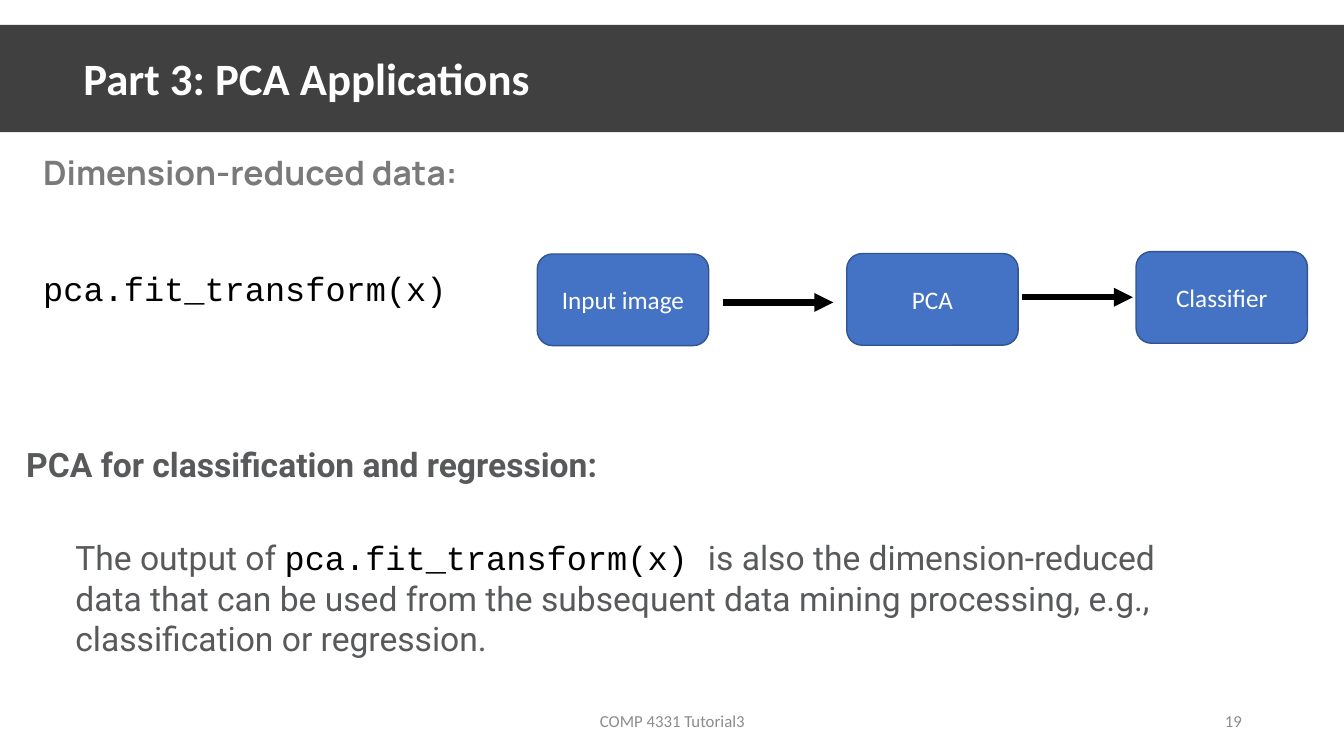
import pptx
import pptx.dml.color
import pptx.enum.shapes
import pptx.enum.text
import pptx.oxml
import pptx.oxml.ns
import pptx.util
from pptx.dml.color import RGBColor

Cm = pptx.util.Cm
Pt = pptx.util.Pt
ALIGN = pptx.enum.text.PP_ALIGN
ANCHOR = pptx.enum.text.MSO_ANCHOR
SHAPE = pptx.enum.shapes.MSO_SHAPE

BLACK = RGBColor(0x00, 0x00, 0x00)
WHITE = RGBColor(0xFF, 0xFF, 0xFF)
BANNER = RGBColor(0x40, 0x40, 0x40)
HEADING = RGBColor(0x7A, 0x7A, 0x7A)
BODY = RGBColor(0x58, 0x59, 0x5B)
FOOTER = RGBColor(0x8C, 0x8C, 0x8C)
BLUE = RGBColor(0x44, 0x72, 0xC4)
BLUE_EDGE = RGBColor(0x32, 0x54, 0x91)

CODE = "pca.fit_transform(x)"


class SlideBuilder:
    text_size = Pt(24)
    footer_size = Pt(12)
    step_size = Pt(18)
    step_width, step_height = 4.32, 2.31
    arrow_length = 2.79

    def __init__(self, slide):
        self.slide = slide

    @staticmethod
    def style(font, name, size, color, bold=False):
        font.name, font.size, font.bold = name, size, bold
        font.color.rgb = color

    def text(self, left, top, width, height, words, font, color, size=None,
             bold=False, wrap=True, align=ALIGN.LEFT, anchor=ANCHOR.TOP):
        """Add a one-paragraph text box and return its paragraph."""
        frame = self.slide.shapes.add_textbox(
            Cm(left), Cm(top), Cm(width), Cm(height)).text_frame
        frame.word_wrap = wrap
        frame.vertical_anchor = anchor
        paragraph = frame.paragraphs[0]
        paragraph.text = words
        paragraph.alignment = align
        self.style(paragraph.font, font, size or self.text_size, color, bold)
        return paragraph

    def footer(self, left, width, words, align):
        self.text(left, 17.65, width, 1.02, words, "Calibri", FOOTER,
                  self.footer_size, align=align, anchor=ANCHOR.MIDDLE)

    def block(self, kind, left, top, width, height, fill):
        block = self.slide.shapes.add_shape(
            kind, Cm(left), Cm(top), Cm(width), Cm(height))
        block.shadow.inherit = False
        block.fill.solid()
        block.fill.fore_color.rgb = fill
        block.line.fill.background()
        return block

    def step(self, left, top, label):
        step = self.block(SHAPE.ROUNDED_RECTANGLE, left, top,
                          self.step_width, self.step_height, BLUE)
        step.line.color.rgb = BLUE_EDGE
        step.line.width = Pt(1)
        step.text_frame.vertical_anchor = ANCHOR.MIDDLE
        paragraph = step.text_frame.paragraphs[0]
        paragraph.text = label
        paragraph.alignment = ALIGN.CENTER
        self.style(paragraph.font, "Calibri", self.step_size, WHITE)

    def arrow(self, left, y):
        arrow = self.slide.shapes.add_connector(
            pptx.enum.shapes.MSO_CONNECTOR.STRAIGHT,
            Cm(left), Cm(y), Cm(left + self.arrow_length), Cm(y))
        arrow.line.color.rgb = BLACK
        arrow.line.width = Pt(4.5)
        namespace = pptx.oxml.ns.nsdecls("a")
        arrow.line._get_or_add_ln().append(pptx.oxml.parse_xml(
            f'<a:tailEnd {namespace} type="triangle"/>'))
        arrow._element.spPr.append(pptx.oxml.parse_xml(
            f"<a:effectLst {namespace}/>"))


def main():
    deck = pptx.Presentation()
    deck.slide_width, deck.slide_height = Cm(33.87), Cm(19.05)
    builder = SlideBuilder(deck.slides.add_slide(deck.slide_layouts[6]))

    builder.block(SHAPE.RECTANGLE, -0.02, 0.63, 33.89, 2.7, BANNER)
    title = builder.text(1.85, 1.07, 30.15, 1.93, "Part 3: PCA Applications",
                         "Calibri", WHITE, Pt(32), bold=True,
                         anchor=ANCHOR.MIDDLE)
    title.line_spacing = 0.9

    builder.footer(23.93, 7.62, "19", ALIGN.RIGHT)
    builder.footer(11.23, 11.43, "COMP 4331 Tutorial3", ALIGN.CENTER)

    builder.text(0.84, 6.63, 10.74, 1.27, CODE, "Courier New", BLACK,
                 wrap=False)
    builder.text(0.84, 3.71, 10.95, 1.27, "Dimension-reduced data:",
                 "Manrope", HEADING, bold=True, wrap=False)
    builder.text(0.41, 11.07, 28.63, 2.31,
                 "PCA for classification and regression:",
                 "Roboto", BODY, bold=True)

    usage = builder.text(1.65, 13.41, 28.63, 4.37, "The output of ",
                         "Roboto", BODY)
    code = usage.add_run()
    code.text = CODE + " "
    builder.style(code.font, "Courier New", builder.text_size, BLACK)
    usage.add_run().text = (
        "is also the dimension-reduced data that can be used from the "
        "subsequent data mining processing, e.g., classification or "
        "regression.")

    for left, top, label in ((13.54, 6.4, "Input image"),
                             (21.34, 6.39, "PCA"),
                             (28.63, 6.34, "Classifier")):
        builder.step(left, top, label)
    for left, y in ((18.21, 7.62), (25.76, 7.49)):
        builder.arrow(left, y)

    deck.save("out.pptx")


if __name__ == "__main__":
    main()
